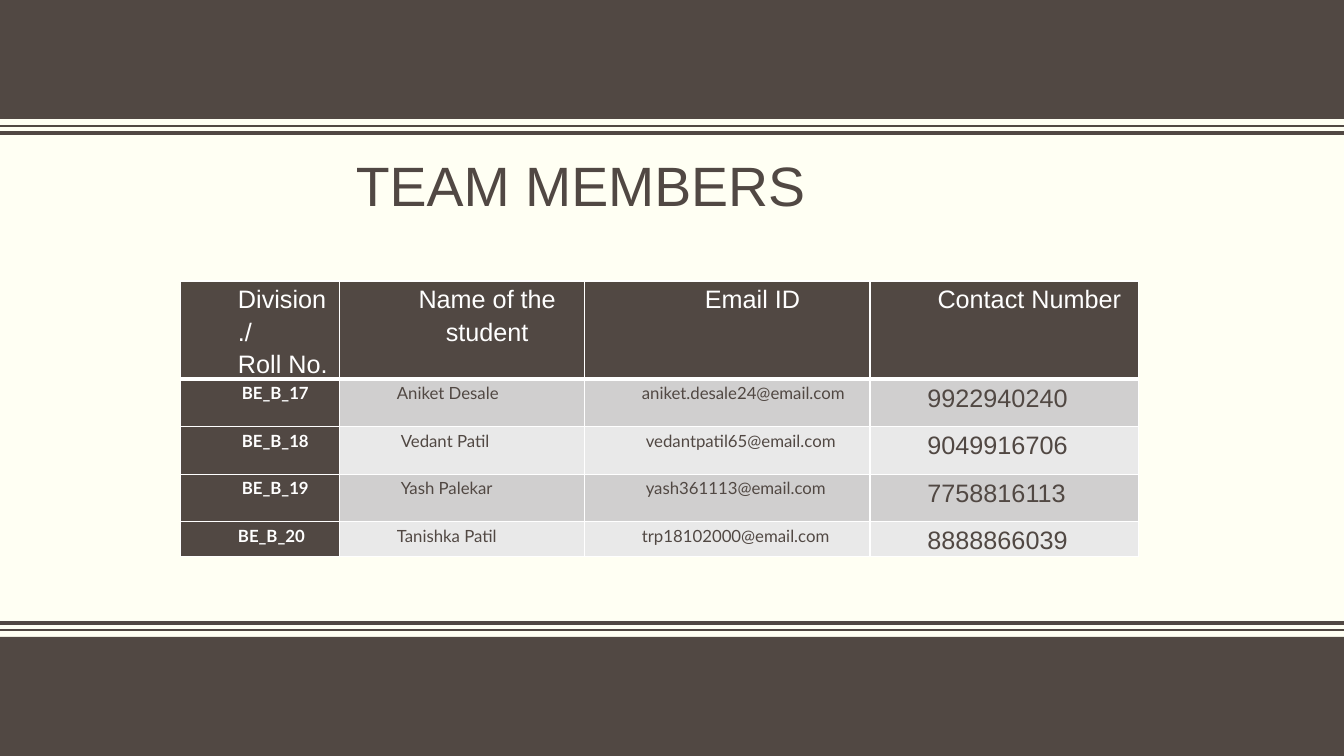
from lxml.etree import SubElement
from pptx import Presentation
from pptx.dml.color import RGBColor as RGB
from pptx.enum.shapes import MSO_CONNECTOR as Connector, MSO_SHAPE as Shape
from pptx.enum.text import MSO_ANCHOR as Anchor, PP_ALIGN as Align
from pptx.oxml.ns import qn
from pptx.util import Pt

TITLE = "TEAM MEMBERS"
HEADINGS = ["Division./\vRoll No.", "Name of the student", "Email ID", "Contact Number"]
MEMBERS = [
    ("BE_B_17", "Aniket Desale", "aniket.desale24@email.com", "9922940240"),
    ("BE_B_18", "Vedant Patil", "vedantpatil65@email.com", "9049916706"),
    ("BE_B_19", "Yash Palekar", "yash361113@email.com", "7758816113"),
    ("BE_B_20", "Tanishka Patil", "trp18102000@email.com", "8888866039"),
]
COLORS = {"paper": "FFFFF3", "brown": "514843", "white": "FFFFFF",
          "odd": "D0CFCF", "even": "E9E9E9"}

SLIDE_W, SLIDE_H = 960, 540
BAND_H = 85
RULES = [(95, 3), (90, 1)]  # distance from the slide edge, line width
COLUMN_WIDTHS = [113.5, 175, 204, 191.5]
ROW_HEIGHTS = [70, 34, 34, 34, 24.5]
TABLE_LEFT, TABLE_TOP = 129, 200.7
INDENT, INSET_STEP = 36, 2.8
INSET_CELLS = {(1, 0), (2, 0), (3, 0), (2, 1), (3, 1), (2, 2), (3, 2)}

HEADING_FONT = {"name": "Arial", "size": Pt(18), "bold": False}
ROLL_FONT = {"name": "Lato", "size": Pt(12), "bold": True}
DETAIL_FONT = {"name": "Lato", "size": Pt(12), "bold": False}
MARGINS = {"margin_left": Pt(5), "margin_right": Pt(5),
           "margin_top": Pt(0.6), "margin_bottom": Pt(0)}
TITLE_FRAME = {"margin_left": 0, "margin_right": 0, "margin_top": Pt(3.6),
               "margin_bottom": Pt(3.6), "vertical_anchor": Anchor.MIDDLE,
               "word_wrap": True}


def color(name):
    return RGB.from_string(COLORS[name])


def apply(target, values):
    for key, value in values.items():
        setattr(target, key, value)


def add_band(slide, top):
    band = slide.shapes.add_shape(Shape.RECTANGLE, 0, Pt(top), Pt(SLIDE_W), Pt(BAND_H))
    band.shadow.inherit = False
    band.fill.solid()
    band.fill.fore_color.rgb = color("brown")
    band.line.fill.background()


def add_rule(slide, y, width):
    rule = slide.shapes.add_connector(Connector.STRAIGHT, 0, Pt(y), Pt(SLIDE_W), Pt(y))
    rule.line.color.rgb = color("brown")
    rule.line.width = Pt(width)
    SubElement(rule._element.spPr, qn("a:effectLst"))


def add_title(slide):
    title = slide.shapes.title
    apply(title, {"left": Pt(254.2), "top": Pt(111.6), "width": Pt(451.4), "height": Pt(45.4)})
    title.text_frame.text = TITLE
    apply(title.text_frame, TITLE_FRAME)
    line = title.text_frame.paragraphs[0]
    apply(line, {"alignment": Align.LEFT, "line_spacing": 0.9})
    apply(line.font, {"name": "Arial", "size": Pt(39.6)})
    line.font.color.rgb = color("brown")


def set_borders(cell, row):
    properties = cell._tc.get_or_add_tcPr()
    thick = {"lnT": 1, "lnB": 0}  # the heavy line lies between rows 0 and 1
    for position, side in enumerate(("lnL", "lnR", "lnT", "lnB")):
        width = 3 if thick.get(side) == row else 1
        border = SubElement(properties, qn("a:" + side), w=str(Pt(width)))
        fill = SubElement(border, qn("a:solidFill"))
        SubElement(fill, qn("a:srgbClr"), val=COLORS["white"])
        properties.remove(border)
        properties.insert(position, border)


def cell_style(row, column):
    """Return font values, text colour, fill colour and alignment."""
    if row == 0:
        return HEADING_FONT, "white", "brown", Align.CENTER if column else Align.LEFT
    if column == 0:
        return ROLL_FONT, "white", "brown", Align.JUSTIFY
    font = HEADING_FONT if column == 3 else DETAIL_FONT
    return font, "brown", "odd" if row % 2 else "even", Align.LEFT


def fill_cell(cell, row, column, text):
    font, ink, ground, alignment = cell_style(row, column)
    cell.text = text
    apply(cell, MARGINS)
    cell.fill.solid()
    cell.fill.fore_color.rgb = color(ground)
    set_borders(cell, row)
    line = cell.text_frame.paragraphs[0]
    apply(line, {"alignment": alignment, "line_spacing": 1.15})
    indent = INDENT + INSET_STEP * ((row, column) in INSET_CELLS)
    line._p.get_or_add_pPr().set("marL", str(Pt(indent)))
    for run in line.runs:
        apply(run.font, font)
        run.font.color.rgb = color(ink)


def add_members(slide):
    rows = [HEADINGS, *MEMBERS]
    table = slide.shapes.add_table(
        len(rows), len(HEADINGS), Pt(TABLE_LEFT), Pt(TABLE_TOP),
        Pt(sum(COLUMN_WIDTHS)), Pt(sum(ROW_HEIGHTS))).table
    for column, width in zip(table.columns, COLUMN_WIDTHS):
        column.width = Pt(width)
    for row, height in zip(table.rows, ROW_HEIGHTS):
        row.height = Pt(height)
    for r, texts in enumerate(rows):
        for c, text in enumerate(texts):
            fill_cell(table.cell(r, c), r, c, text)


def main():
    deck = Presentation()
    deck.slide_width, deck.slide_height = Pt(SLIDE_W), Pt(SLIDE_H)
    slide = deck.slides.add_slide(deck.slide_layouts[5])
    slide.background.fill.solid()
    slide.background.fill.fore_color.rgb = color("paper")
    for top in (0, SLIDE_H - BAND_H):
        add_band(slide, top)
    for distance, width in RULES:
        for y in (distance, SLIDE_H - distance):
            add_rule(slide, y, width)
    add_title(slide)
    add_members(slide)
    deck.save("out.pptx")


if __name__ == "__main__":
    main()
